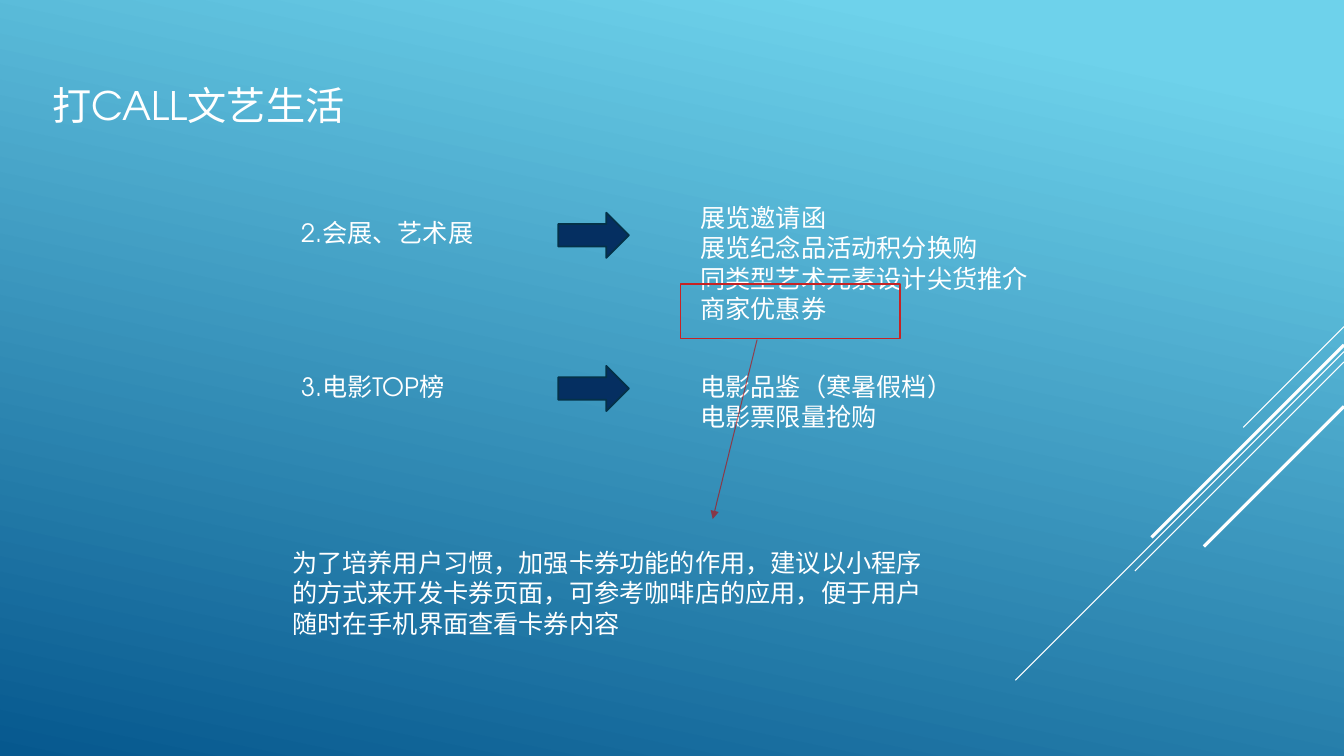
from lxml.etree import SubElement
from pptx import Presentation
from pptx.dml.color import RGBColor
from pptx.enum.shapes import MSO_CONNECTOR, MSO_SHAPE
from pptx.enum.text import MSO_ANCHOR, MSO_AUTO_SIZE, PP_ALIGN
from pptx.oxml.ns import qn
from pptx.util import Cm, Pt

FONT = "TeX Gyre Adventor"
WHITE = "FFFFFF"


def color(hex_text):
    return RGBColor.from_string(hex_text)


def write(shape, text, size=18, font_color=WHITE):
    frame = shape.text_frame
    frame.word_wrap = True
    frame.auto_size = MSO_AUTO_SIZE.SHAPE_TO_FIT_TEXT
    frame.vertical_anchor = MSO_ANCHOR.TOP
    frame.text = text
    for paragraph in frame.paragraphs:
        paragraph.alignment = PP_ALIGN.LEFT
        paragraph.font.name = FONT
        paragraph.font.size = Pt(size)
        paragraph.font.color.rgb = color(font_color)


presentation = Presentation()
presentation.slide_width, presentation.slide_height = Cm(33.87), Cm(19.05)
slide = presentation.slides.add_slide(presentation.slide_layouts[5])
shapes = slide.shapes

# Background gradient
background = slide.background.fill
background.gradient()
background.gradient_angle = 258
for stop, (position, shade) in zip(background.gradient_stops, [(0.1, "6ED2EB"), (1, "06588E")]):
    stop.position = position
    stop.color.rgb = color(shade)

# Diagonal lines from the right edge: top, run at 45 degrees, width
for top, run, width in [(8.23, 2.54, 0.75), (8.86, 8.28, 0.75), (9.12, 5.27, 0.75),
                        (8.69, 4.85, 2.25), (10.24, 3.53, 2.25)]:
    diagonal = shapes.add_connector(MSO_CONNECTOR.STRAIGHT, Cm(33.87), Cm(top),
                                    Cm(33.87 - run), Cm(top + run))
    diagonal.line.color.rgb = color(WHITE)
    diagonal.line.width = Pt(width)
    SubElement(diagonal._element.spPr, qn("a:effectLst"))

# Title
title = shapes.title
title.left, title.top, title.width, title.height = Cm(1.07), Cm(1.93), Cm(17.3), Cm(1.45)
write(title, "打CALL文艺生活", size=28)

# Topics, offers and the closing advice
for left, top, width, height, text in [
    (7.34, 5.36, 6.07, 1.02, "2.会展、艺术展"),
    (17.4, 4.98, 11.48, 3.33,
     "展览邀请函\n展览纪念品活动积分换购\n同类型艺术元素设计尖货推介\n商家优惠券"),
    (7.34, 9.22, 6.07, 1.02, "3.电影TOP榜"),
    (17.4, 9.22, 10.62, 1.8, "电影品鉴（寒暑假档）\n电影票限量抢购"),
    (7.11, 13.67, 16.94, 2.57,
     "为了培养用户习惯，加强卡券功能的作用，建议以小程序的方式来开发卡券页面，"
     "可参考咖啡店的应用，便于用户随时在手机界面查看卡券内容"),
]:
    write(shapes.add_textbox(Cm(left), Cm(top), Cm(width), Cm(height)), text)

# Block arrows from topic to offers
for top in (5.36, 9.22):
    arrow = shapes.add_shape(MSO_SHAPE.RIGHT_ARROW, Cm(14.07), Cm(top), Cm(1.78), Cm(1.14))
    arrow.shadow.inherit = False
    arrow.fill.solid()
    arrow.fill.fore_color.rgb = color("052F61")
    arrow.line.color.rgb = color("043148")
    arrow.line.width = Pt(1.25)

# Frame around the coupon offer
coupon_frame = shapes.add_shape(MSO_SHAPE.RECTANGLE, Cm(17.15), Cm(7.16), Cm(5.54), Cm(1.37))
coupon_frame.shadow.inherit = False
coupon_frame.fill.background()
coupon_frame.line.color.rgb = color("C62324")
coupon_frame.line.width = Pt(1.25)

# Translucent arrow from the coupon offer to the advice
pointer = shapes.add_connector(MSO_CONNECTOR.STRAIGHT, Cm(19.08), Cm(8.56), Cm(17.96), Cm(13.08))
pointer.line.color.rgb = color("C00000")
pointer.line.width = Pt(0.75)
outline = pointer.line._get_or_add_ln()
SubElement(outline.find(".//" + qn("a:srgbClr")), qn("a:alpha"), val="60000")
SubElement(outline, qn("a:tailEnd"), type="triangle")
SubElement(pointer._element.spPr, qn("a:effectLst"))

presentation.save("out.pptx")
